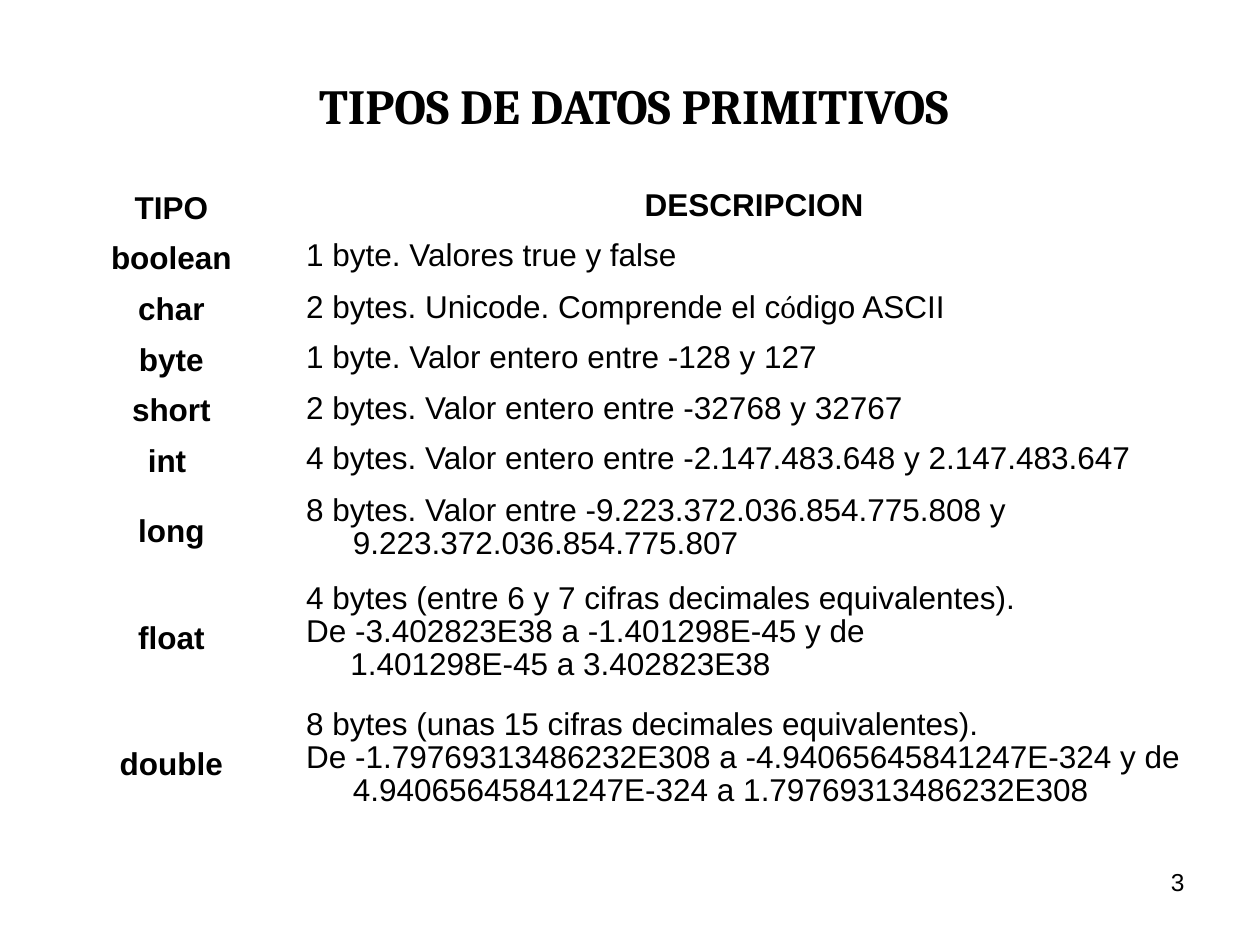
from pptx import Presentation, util as u
from pptx.dml.color import RGBColor
from pptx.enum import text

TITLE = "TIPOS DE DATOS PRIMITIVOS"
PAGE_NUMBER = "3"
BLACK = "000000"
HANGING = (0.38, -0.37)  # left margin, first-line indent
CONTINUED = (0.36, 0)

# Type, lines of its description, row height
ROWS = [
    ("TIPO", ["DESCRIPCION"], 0.4),
    ("boolean", ["1 byte. Valores true y false"], 0.4),
    ("char", ["2 bytes. Unicode. Comprende el código ASCII"], 0.41),
    ("byte", ["1 byte. Valor entero entre -128 y 127"], 0.4),
    ("short", ["2 bytes. Valor entero entre -32768 y 32767"], 0.4),
    ("int ", ["4 bytes. Valor entero entre -2.147.483.648 y 2.147.483.647"], 0.41),
    ("long", ["8 bytes. Valor entre -9.223.372.036.854.775.808 y 9.223.372.036.854.775.807"], 0.7),
    ("float", ["4 bytes (entre 6 y 7 cifras decimales equivalentes).",
               "De -3.402823E38 a -1.401298E-45 y de",
               "1.401298E-45 a 3.402823E38"], 1),
    ("double", ["8 bytes (unas 15 cifras decimales equivalentes).",
                "De -1.79769313486232E308 a -4.94065645841247E-324 y de "
                "4.94065645841247E-324 a 1.79769313486232E308"], 1),
]
COLUMNS = (1.93, 7.32)


def format_span(span, size, font="Arial", bold=False, color=BLACK):
    span.font.size = u.Pt(size)
    span.font.name = font
    span.font.bold = bold
    span.font.color.rgb = RGBColor.from_string(color)


def add_spans(para, line, bold):
    """Write a line; its accented letter is set in Cambria."""
    before, accent, after = line.partition("ó")
    for part, font in ((before, "Arial"), (accent, "Cambria"), (after, "Arial")):
        if part:
            span = para.add_run()
            span.text = part
            format_span(span, 18, font, bold)


def fill_cell(cell, lines, bold, centred, anchor):
    cell.fill.background()
    cell.vertical_anchor = anchor
    frame = cell.text_frame
    for index, line in enumerate(lines):
        para = frame.paragraphs[0] if index == 0 else frame.add_paragraph()
        para.alignment = text.PP_ALIGN.CENTER if centred else text.PP_ALIGN.LEFT
        para.line_spacing = 0.93
        margin, indent = CONTINUED if index == 2 else HANGING
        properties = para._p.get_or_add_pPr()
        properties.set("marL", str(u.Inches(margin)))
        properties.set("indent", str(u.Inches(indent)))
        add_spans(para, line, bold)


deck = Presentation()
deck.slide_width, deck.slide_height = u.Inches(10), u.Inches(7.5)
page = deck.slides.add_slide(deck.slide_layouts[5])

# Title
title = page.shapes.title
title.left, title.top, title.width, title.height = map(u.Inches, (0.78, 0.34, 8.5, 0.99))
title.text_frame.text = TITLE
title.text_frame.vertical_anchor = text.MSO_ANCHOR.MIDDLE
title.text_frame.paragraphs[0].alignment = text.PP_ALIGN.CENTER
format_span(title.text_frame.paragraphs[0].runs[0], 28, "Cambria", True)

# Table of types
height = sum(row[2] for row in ROWS)
table = page.shapes.add_table(len(ROWS), len(COLUMNS), u.Inches(0.39), u.Inches(1.46),
                              u.Inches(sum(COLUMNS)), u.Inches(height)).table
table.first_row = table.horz_banding = False
for column, width in zip(table.columns, COLUMNS):
    column.width = u.Inches(width)
for index, (name, lines, row_height) in enumerate(ROWS):
    header = index == 0
    table.rows[index].height = u.Inches(row_height)
    fill_cell(table.cell(index, 0), [name], True, True, text.MSO_ANCHOR.MIDDLE)
    fill_cell(table.cell(index, 1), lines, header, header, text.MSO_ANCHOR.TOP)

# Page number
box = page.shapes.add_textbox(*map(u.Inches, (7.17, 6.83, 2.33, 0.52)))
box.text_frame.word_wrap = True
box.text_frame.text = PAGE_NUMBER
para = box.text_frame.paragraphs[0]
para.alignment = text.PP_ALIGN.RIGHT
format_span(para.runs[0], 14)

deck.save("out.pptx")
